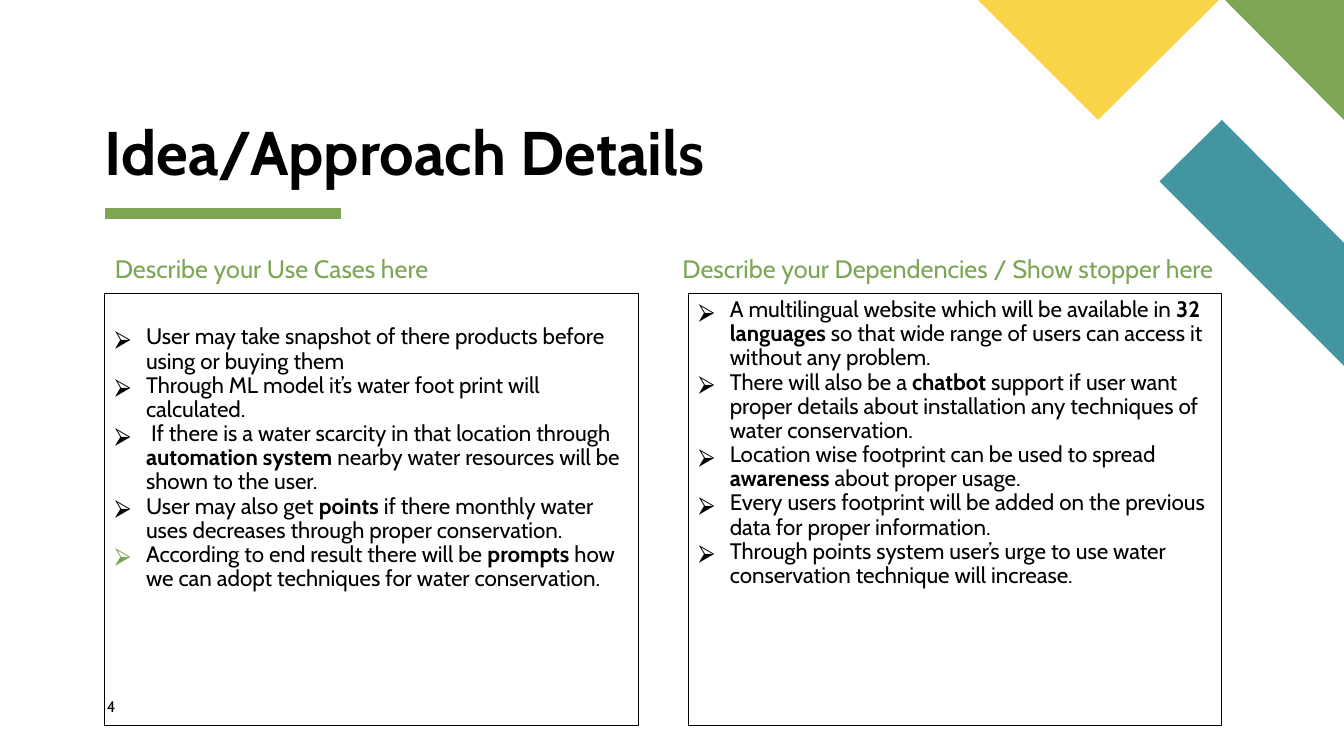
import pptx
import pptx.dml.color
import pptx.enum.shapes
import pptx.enum.text
import pptx.oxml
import pptx.oxml.ns
import pptx.util
from pptx.util import Inches

FONT = "Cabin"
COLORS = {"green": "7CA655", "teal": "4495A2", "yellow": "F9D448", "black": "000000"}

TITLE = "Idea/Approach Details"
PAGE_NUMBER = "4"

# Words between ** marks are bold.
COLUMNS = [
    {
        "heading": "Describe your Use Cases here",
        "heading_left": 1.04,
        "heading_width": 5.29,
        "box_left": 1.04,
        "top_inset": 0.32,
        "bullets": [
            ("User may take snapshot of there products before using or buying them", "black"),
            ("Through ML model it’s water foot print will calculated.", "black"),
            (" If there is a water scarcity in that location through **automation system **"
             "nearby water resources will be shown to the user.", "black"),
            ("User may also get **points** if there monthly water uses decreases through "
             "proper conservation.", "black"),
            ("According to end result there will be **prompts** how we can adopt techniques "
             "for water conservation.", "green"),
        ],
    },
    {
        "heading": "Describe your Dependencies / Show stopper here",
        "heading_left": 6.67,
        "heading_width": 5.62,
        "box_left": 6.83,
        "top_inset": 0.05,
        "bullets": [
            ("A multilingual website which will be available in **32 languages **so that wide "
             "range of users can access it without any problem.", "black"),
            ("There will also be a **chatbot** support if user want proper details about "
             "installation any techniques of water conservation.", "black"),
            ("Location wise footprint can be used to spread **awareness** about proper usage.",
             "black"),
            ("Every users footprint will be added on the previous data for proper information.",
             "black"),
            ("Through points system user’s urge to use water conservation technique will "
             "increase.", "black"),
        ],
    },
]

CORNER_SHAPES = [
    ("teal", [(13.33, 3.63), (13.33, 2.41), (12.12, 1.19), (11.5, 1.8)]),
    ("green", [(13.33, 1.19), (13.33, 0), (12.15, 0)]),
    ("yellow", [(9.7, 0), (10.89, 1.19), (12.09, 0)]),
]


def rgb(name):
    return pptx.dml.color.RGBColor.from_string(COLORS[name])


def add_xml(parent, tag, **attributes):
    element = pptx.oxml.parse_xml(f"<a:{tag} {pptx.oxml.ns.nsdecls('a')}/>")
    for key, value in attributes.items():
        element.set(key, value)
    parent.append(element)
    return element


def write_text(paragraph, text, size, color="black", bold=False, spacing=None):
    """Fill a paragraph, switching bold at each ** mark."""
    if spacing:
        paragraph.line_spacing = spacing
    for index, part in enumerate(text.split("**")):
        if part:
            run = paragraph.add_run()
            run.text = part
            run.font.name = FONT
            run.font.size = pptx.util.Pt(size)
            run.font.bold = bold or index % 2 == 1
            run.font.color.rgb = rgb(color)


def set_frame(shape, side=0.0, top=0.0, anchor=pptx.enum.text.MSO_ANCHOR.TOP):
    frame = shape.text_frame
    frame.word_wrap = True
    frame.vertical_anchor = anchor
    frame.margin_left = frame.margin_right = Inches(side)
    frame.margin_top = Inches(top)
    frame.margin_bottom = Inches(side / 2)
    return frame


def add_label(slide, box, text, side=0.0, top=0.0,
              anchor=pptx.enum.text.MSO_ANCHOR.TOP, **text_format):
    label = slide.shapes.add_textbox(*map(Inches, box))
    frame = set_frame(label, side, top, anchor)
    write_text(frame.paragraphs[0], text, **text_format)


def set_bullet(paragraph, color):
    properties = paragraph._p.get_or_add_pPr()
    properties.set("marL", str(Inches(0.31)))
    properties.set("indent", str(-Inches(0.31)))
    add_xml(add_xml(properties, "buClr"), "srgbClr", val=COLORS[color])
    add_xml(properties, "buFont", typeface="Noto Sans Symbols")
    add_xml(properties, "buChar", char="⮚")


def add_corner_shape(slide, color, points):
    corners = [(Inches(x), Inches(y)) for x, y in points]
    builder = slide.shapes.build_freeform(*corners[0])
    builder.add_line_segments(corners[1:], close=True)
    shape = builder.convert_to_shape()
    shape.shadow.inherit = False
    shape.fill.solid()
    shape.fill.fore_color.rgb = rgb(color)
    shape.line.fill.background()


def add_title_rule(slide):
    rule = slide.shapes.add_connector(
        pptx.enum.shapes.MSO_CONNECTOR.STRAIGHT,
        Inches(1.04), Inches(2.12), Inches(3.38), Inches(2.12))
    rule.line.color.rgb = rgb("green")
    rule.line.width = pptx.util.Pt(8)
    add_xml(rule._element.spPr, "effectLst")


def add_column(slide, column):
    add_label(slide, (column["heading_left"], 2.5, column["heading_width"], 0.35),
              column["heading"], side=0.1, top=0.05, size=18, color="green", spacing=0.9)
    box = slide.shapes.add_shape(
        pptx.enum.shapes.MSO_SHAPE.RECTANGLE,
        Inches(column["box_left"]), Inches(2.91), Inches(5.29), Inches(4.29))
    box.shadow.inherit = False
    box.fill.background()
    box.line.color.rgb = rgb("black")
    box.line.width = pptx.util.Pt(0.75)
    frame = set_frame(box, side=0.1, top=column["top_inset"])
    for index, (text, bullet_color) in enumerate(column["bullets"]):
        paragraph = frame.add_paragraph() if index else frame.paragraphs[0]
        paragraph.alignment = pptx.enum.text.PP_ALIGN.LEFT
        write_text(paragraph, text, size=16, spacing=0.9)
        set_bullet(paragraph, bullet_color)


def main():
    presentation = pptx.Presentation()
    presentation.slide_width = Inches(13.33)
    presentation.slide_height = Inches(7.5)
    slide = presentation.slides.add_slide(presentation.slide_layouts[6])

    add_title_rule(slide)
    for color, points in CORNER_SHAPES:
        add_corner_shape(slide, color, points)
    add_label(slide, (1.04, 1.2, 6.32, 0.67), TITLE, size=44, bold=True, spacing=0.9,
              anchor=pptx.enum.text.MSO_ANCHOR.BOTTOM)
    for column in COLUMNS:
        add_column(slide, column)
    add_label(slide, (1.06, 6.92, 0.57, 0.27), PAGE_NUMBER, size=11)

    presentation.save("out.pptx")


if __name__ == "__main__":
    main()
